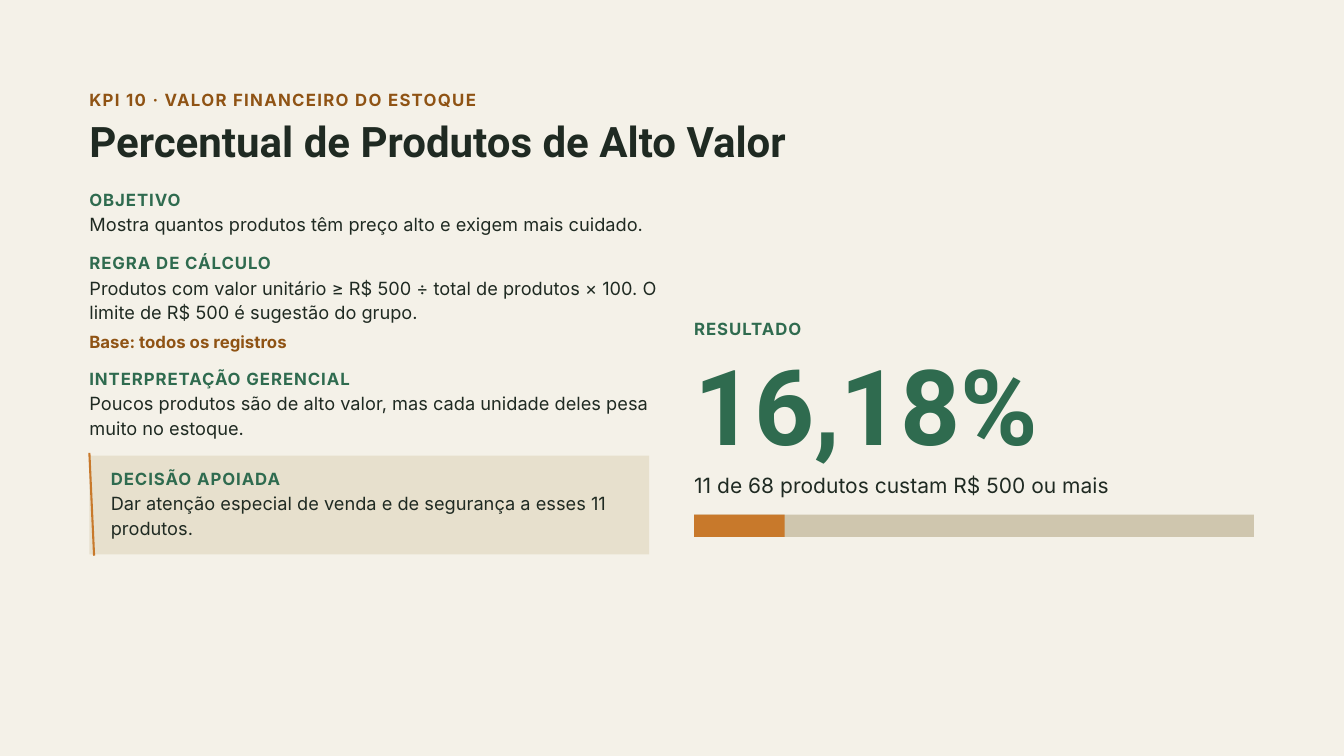
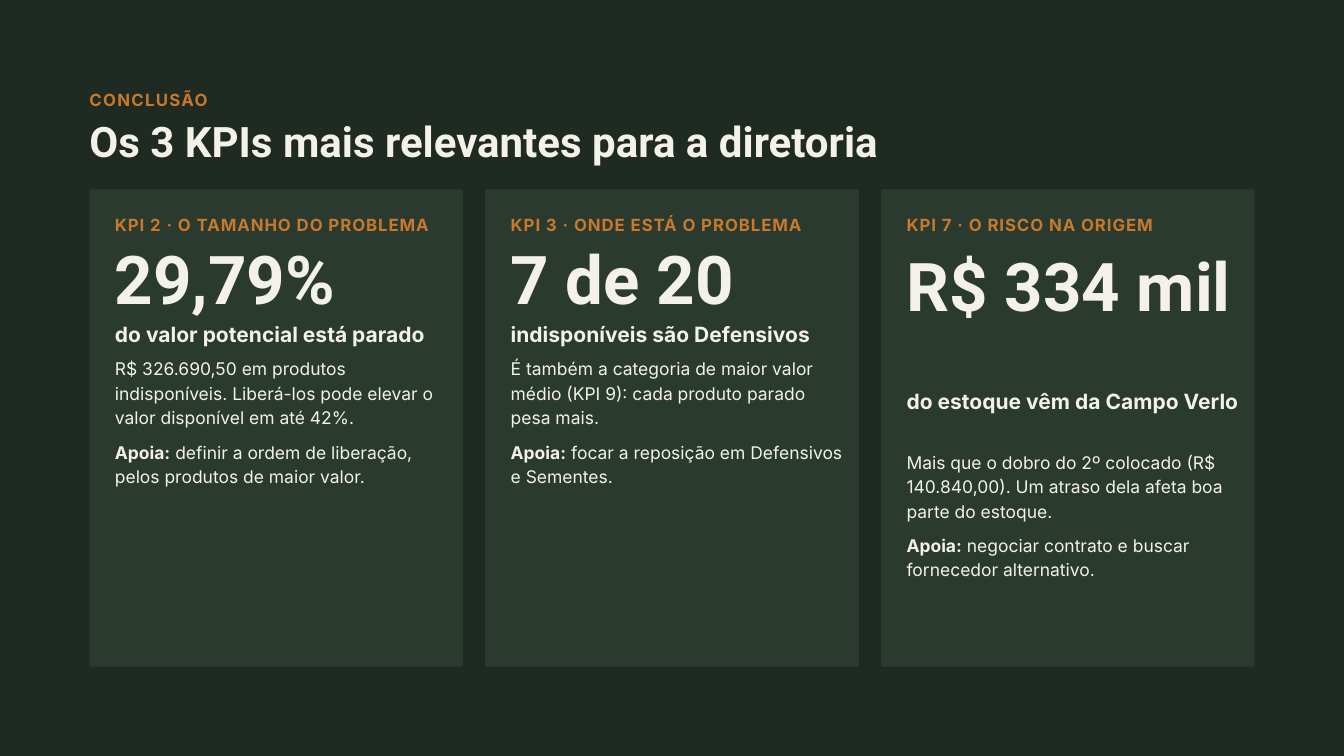
"""Build two KPI slides: one indicator in detail and the closing summary."""
from pptx import Presentation
from pptx.dml.color import RGBColor
from pptx.enum.shapes import MSO_CONNECTOR, MSO_SHAPE
from pptx.enum.text import MSO_ANCHOR, MSO_AUTO_SIZE, PP_ALIGN
from pptx.oxml.ns import qn
from pptx.util import Inches, Pt
from lxml import etree

RECTANGLE = MSO_SHAPE.RECTANGLE
STRAIGHT = MSO_CONNECTOR.STRAIGHT
TOP = MSO_ANCHOR.TOP
LEFT = PP_ALIGN.LEFT
GROW = MSO_AUTO_SIZE.SHAPE_TO_FIT_TEXT

CREAM = RGBColor(0xF4, 0xF1, 0xE8)
INK = RGBColor(0x1F, 0x2A, 0x22)
GREEN = RGBColor(0x2F, 0x6B, 0x4F)
BROWN = RGBColor(0x8F, 0x53, 0x14)
ORANGE = RGBColor(0xC8, 0x79, 0x2B)
SAND = RGBColor(0xE7, 0xE0, 0xCD)
TRACK = RGBColor(0xCF, 0xC6, 0xAE)
MOSS = RGBColor(0x2A, 0x3A, 0x2F)

BODY_FONT = "Inter"
DISPLAY_FONT = "Roboto"
MARGIN = 1.33
COLUMN = 8.33
COLUMN_TEXT = 8.58
RESULT_LEFT = 10.33
CARD_TOP = 2.82
CARD_WIDTH = 5.56
CARD_GAP = 0.33
CARD_PADDING = 0.38
LABEL_TO_BODY = 0.32


def write(box, text, size, line, color, font=BODY_FONT, bold=False, spacing=0, lead=""):
    """Fill a text shape with one paragraph, with an optional bold lead-in."""
    frame = box.text_frame
    frame.word_wrap = True
    frame.auto_size = GROW
    frame.vertical_anchor = TOP
    frame.margin_left = frame.margin_right = 0
    frame.margin_top = frame.margin_bottom = 0
    paragraph = frame.paragraphs[0]
    paragraph.alignment = LEFT
    paragraph.line_spacing = Pt(line)
    for content, strong in ((lead, True), (text, bold)):
        if not content:
            continue
        run = paragraph.add_run()
        run.text = content
        run.font.name = font
        run.font.size = Pt(size)
        run.font.bold = strong
        run.font.color.rgb = color
        if spacing:
            run.font._element.set("spc", str(round(spacing * 100)))


def add_text(slide, text, left, top, width, height, **style):
    """Place a text box."""
    box = slide.shapes.add_textbox(Inches(left), Inches(top), Inches(width), Inches(height))
    write(box, text, **style)


def add_label(slide, text, left, top, width=COLUMN_TEXT, color=GREEN, spacing=1):
    """Place a letter-spaced heading in capitals."""
    add_text(slide, text, left, top, width, 0.34, size=18, line=21.6,
             color=color, bold=True, spacing=spacing)


def add_block(slide, left, top, width, height, color):
    """Draw a plain filled rectangle."""
    block = slide.shapes.add_shape(
        RECTANGLE, Inches(left), Inches(top), Inches(width), Inches(height))
    block.shadow.inherit = False
    block.fill.solid()
    block.fill.fore_color.rgb = color
    block.line.fill.background()


def add_accent(slide, start, end):
    """Draw the thin accent line beside a callout."""
    accent = slide.shapes.add_connector(STRAIGHT, *map(Inches, start + end))
    accent.line.color.rgb = ORANGE
    accent.line.width = Pt(2.25)
    etree.SubElement(accent._element.spPr, qn("a:effectLst"))


def add_slide(deck, kicker, title, background, kicker_color, title_color):
    """Add a slide with its background, kicker and title."""
    slide = deck.slides.add_slide(deck.slide_layouts[5])
    slide.background.fill.solid()
    slide.background.fill.fore_color.rgb = background
    heading = slide.shapes.title
    heading.left, heading.top = Inches(MARGIN), Inches(1.78)
    heading.width, heading.height = Inches(17.85), Inches(0.71)
    write(heading, title, size=45, line=49.5, color=title_color,
          font=DISPLAY_FONT, bold=True)
    add_label(slide, kicker, MARGIN, 1.33, 17.85, kicker_color, 1.4)
    return slide


def add_section(slide, label, text, left, top, width=COLUMN_TEXT, height=0.81):
    """Place a label with its explanation below."""
    add_label(slide, label, left, top, width)
    add_text(slide, text, left, top + LABEL_TO_BODY, width, height,
             size=19.5, line=26.3, color=INK)


def add_result(slide, value, caption, share):
    """Place the headline result with a bar showing its share."""
    add_label(slide, "RESULTADO", RESULT_LEFT, 4.75)
    add_text(slide, value, RESULT_LEFT, 5.14, COLUMN_TEXT, 1.84, size=112.5,
             line=129.4, color=GREEN, font=DISPLAY_FONT, bold=True)
    add_text(slide, caption, RESULT_LEFT, 6.98, COLUMN_TEXT, 0.51,
             size=22.5, line=30.4, color=INK)
    add_block(slide, RESULT_LEFT, 7.66, COLUMN, 0.33, TRACK)
    add_block(slide, RESULT_LEFT, 7.66, COLUMN * share, 0.33, ORANGE)


def add_card(slide, index, label, value, claim, detail, support,
             value_top=3.58, value_height=1.18, value_line=82.8, claim_height=0.45):
    """Draw one KPI card, stacking its texts from top to bottom."""
    card_left = MARGIN + index * (CARD_WIDTH + CARD_GAP)
    left = card_left + CARD_PADDING
    width = 4.95
    claim_top = value_top + value_height + 0.01
    detail_top = claim_top + claim_height + 0.06
    add_block(slide, card_left, CARD_TOP, CARD_WIDTH, 7.1, MOSS)
    add_label(slide, label, left, CARD_TOP + CARD_PADDING, width, ORANGE)
    add_text(slide, value, left, value_top, width, value_height, size=72,
             line=value_line, color=CREAM, font=DISPLAY_FONT, bold=True)
    add_text(slide, claim, left, claim_top, width, claim_height,
             size=22.5, line=28.1, color=CREAM, bold=True)
    add_text(slide, detail, left, detail_top, width, 1.18,
             size=18.75, line=26.2, color=CREAM)
    add_text(slide, support, left, detail_top + 1.24, width, 0.81,
             size=18.75, line=26.2, color=CREAM, lead="Apoia:")


def build_indicator(deck):
    """Build the slide on the share of high-value products."""
    slide = add_slide(deck, "KPI 10 · VALOR FINANCEIRO DO ESTOQUE",
                      "Percentual de Produtos de Alto Valor", CREAM, BROWN, INK)
    add_section(slide, "OBJETIVO",
                "Mostra quantos produtos têm preço alto e exigem mais cuidado.",
                MARGIN, 2.82, height=0.45)
    add_section(slide, "REGRA DE CÁLCULO",
                "Produtos com valor unitário ≥ R$ 500 ÷ total de produtos × 100. "
                "O limite de R$ 500 é sugestão do grupo.", MARGIN, 3.76)
    add_text(slide, "Base: todos os registros", MARGIN, 4.9, COLUMN_TEXT, 0.41,
             size=18, line=24.3, color=BROWN, bold=True)
    add_section(slide, "INTERPRETAÇÃO GERENCIAL",
                "Poucos produtos são de alto valor, mas cada unidade deles pesa "
                "muito no estoque.", MARGIN, 5.48)
    add_block(slide, MARGIN, 6.78, COLUMN, 1.47, SAND)
    add_accent(slide, (MARGIN, 6.74), (1.4, 8.27))
    add_section(slide, "DECISÃO APOIADA",
                "Dar atenção especial de venda e de segurança a esses 11 produtos.",
                1.65, 6.97, width=8)
    add_result(slide, "16,18%", "11 de 68 produtos custam R$ 500 ou mais", 11 / 68)


def build_conclusion(deck):
    """Build the slide with the three most relevant KPIs."""
    slide = add_slide(deck, "CONCLUSÃO", "Os 3 KPIs mais relevantes para a diretoria",
                      INK, ORANGE, CREAM)
    add_card(slide, 0, "KPI 2 · O TAMANHO DO PROBLEMA", "29,79%",
             "do valor potencial está parado",
             "R$ 326.690,50 em produtos indisponíveis. Liberá-los pode elevar o "
             "valor disponível em até 42%.",
             " definir a ordem de liberação, pelos produtos de maior valor.")
    add_card(slide, 1, "KPI 3 · ONDE ESTÁ O PROBLEMA", "7 de 20",
             "indisponíveis são Defensivos",
             "É também a categoria de maior valor médio (KPI 9): cada produto "
             "parado pesa mais.",
             " focar a reposição em Defensivos e Sementes.")
    add_card(slide, 2, "KPI 7 · O RISCO NA ORIGEM", "R$ 334 mil",
             "do estoque vêm da Campo Verlo",
             "Mais que o dobro do 2º colocado (R$ 140.840,00). Um atraso dela "
             "afeta boa parte do estoque.",
             " negociar contrato e buscar fornecedor alternativo.",
             value_top=3.83, value_height=1.93, value_line=72, claim_height=0.84)


def main():
    """Create and save the deck."""
    deck = Presentation()
    deck.slide_width, deck.slide_height = Inches(20), Inches(11.25)
    build_indicator(deck)
    build_conclusion(deck)
    deck.save("out.pptx")


if __name__ == "__main__":
    main()
